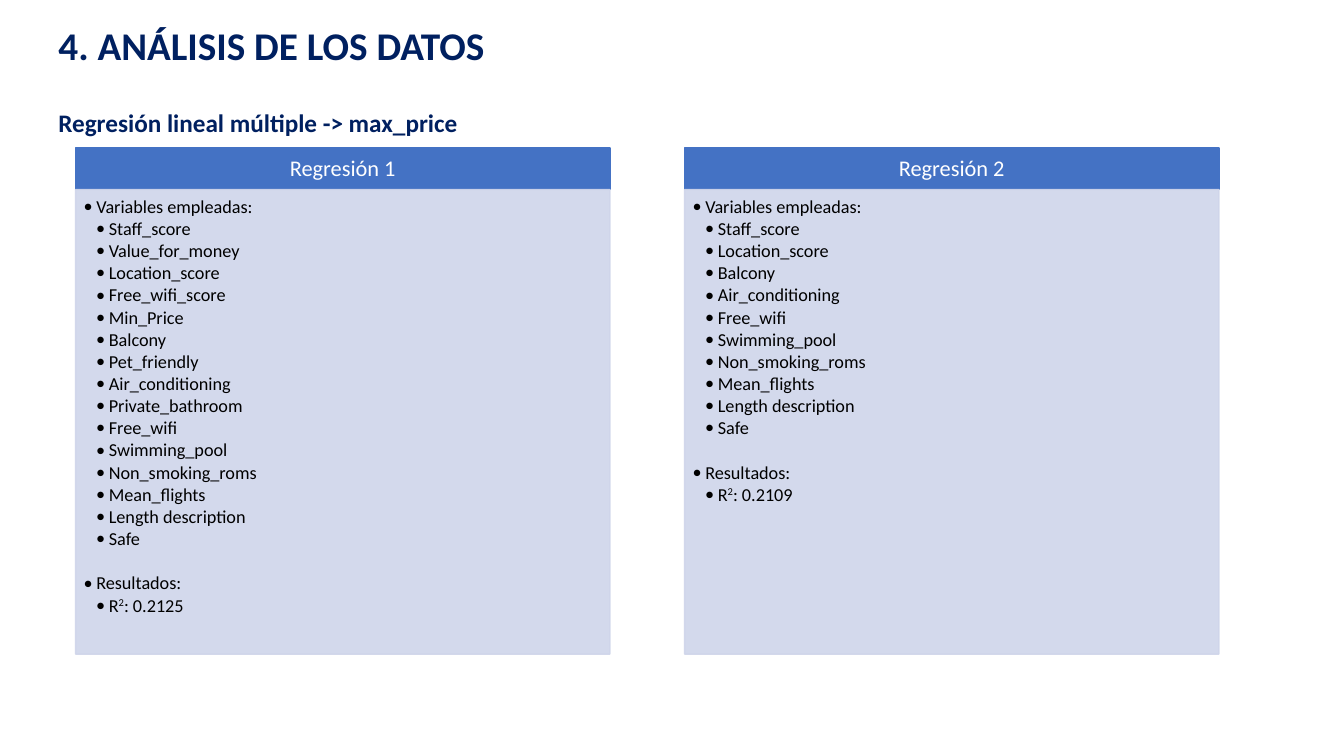
from lxml.etree import SubElement
from pptx import Presentation
from pptx.dml.color import RGBColor
from pptx.enum.shapes import MSO_SHAPE
from pptx.enum.text import MSO_ANCHOR, PP_ALIGN
from pptx.oxml.ns import qn
from pptx.util import Inches, Pt

NAVY, BLUE, PALE = "002060", "4472C4", "CFD5EA"
LEFT, TOP, WIDE, STEP = 0.75, 1.47, 5.3, 6.04
HEAD, BODY = 0.41, 4.61

PANELS = [
    ("Regresión 1", "0.2125", [
        "Staff_score", "Value_for_money", "Location_score", "Free_wifi_score",
        "Min_Price", "Balcony", "Pet_friendly", "Air_conditioning",
        "Private_bathroom", "Free_wifi", "Swimming_pool", "Non_smoking_roms",
        "Mean_flights", "Length description", "Safe"]),
    ("Regresión 2", "0.2109", [
        "Staff_score", "Location_score", "Balcony", "Air_conditioning",
        "Free_wifi", "Swimming_pool", "Non_smoking_roms", "Mean_flights",
        "Length description", "Safe"]),
]


def paint(color, code):
    color.rgb = RGBColor.from_string(code)


def place(shape, *box):
    shape.left, shape.top, shape.width, shape.height = map(Inches, box)


def pad(frame, *sides):
    """Set the insets: left, top, right, bottom."""
    frame.word_wrap = True
    (frame.margin_left, frame.margin_top,
     frame.margin_right, frame.margin_bottom) = map(Inches, sides)


def add_run(para, text, size, code, bold=False):
    run = para.add_run()
    run.text = text
    font = run.font
    font.name, font.size, font.bold = "Calibri", Pt(size), bold
    paint(font.color, code)
    return run


def add_box(slide, box, code, alpha=None):
    shape = slide.shapes.add_shape(MSO_SHAPE.RECTANGLE, *map(Inches, box))
    shape.shadow.inherit = False
    shape.fill.solid()
    paint(shape.fill.fore_color, code)
    shape.line.width = Pt(1)
    paint(shape.line.color, code)
    if alpha:
        for tint in shape.element.spPr.iter(qn("a:srgbClr")):
            SubElement(tint, qn("a:alpha"), val=str(alpha * 1000))
    return shape.text_frame


def add_item(frame, level, *texts, gap=0):
    """Add a bulleted line; every second text is a superscript."""
    first = frame.paragraphs[0]
    para = frame.add_paragraph() if first.runs else first
    para.level = level
    para.alignment = PP_ALIGN.LEFT
    para.line_spacing = 0.9
    para.space_before, para.space_after = Pt(gap), Pt(1.75)
    props = para._p.get_or_add_pPr()
    props.set("marL", str(Inches(0.125 * level)))
    props.set("indent", str(Inches(-0.125)))
    SubElement(props, qn("a:buFont"), typeface="Calibri")
    SubElement(props, qn("a:buChar"), char="•")
    for i, text in enumerate(texts):
        run = add_run(para, text, 13, "000000")
        if i % 2:
            run.font._element.set("baseline", "30000")


def add_panel(slide, left, name, score, items):
    head = add_box(slide, (left, TOP, WIDE, HEAD), BLUE)
    pad(head, 0.12, 0.07, 0.12, 0.07)
    head.vertical_anchor = MSO_ANCHOR.MIDDLE
    para = head.paragraphs[0]
    para.alignment = PP_ALIGN.CENTER
    para.line_spacing = 0.9
    add_run(para, name, 16, "FFFFFF")

    body = add_box(slide, (left, TOP + HEAD, WIDE, BODY), PALE, 90)
    pad(body, 0.08, 0.08, 0.1, 0.11)
    body.vertical_anchor = MSO_ANCHOR.TOP
    add_item(body, 1, "Variables empleadas:")
    for item in items:
        add_item(body, 2, item)
    add_item(body, 1, "Resultados:", gap=16)
    add_item(body, 2, "R", "2", f": {score}")


def add_heads(slide):
    title = slide.shapes.title
    place(title, 0.48, 0.16, 10.45, 0.57)
    pad(title.text_frame, 0.1, 0.05, 0.1, 0.05)
    title.text_frame.vertical_anchor = MSO_ANCHOR.TOP
    para = title.text_frame.paragraphs[0]
    para.alignment = PP_ALIGN.LEFT
    add_run(para, "4. ANÁLISIS DE LOS DATOS", 28, NAVY, True)

    box = slide.shapes.add_textbox(*map(Inches, (0.48, 0.87, 11.88, 0.51)))
    box.text_frame.word_wrap = True
    para = box.text_frame.paragraphs[0]
    para.alignment = PP_ALIGN.JUSTIFY
    para.line_spacing = 1.5
    add_run(para, "Regresión lineal múltiple -> max_price", 18, NAVY, True)


def main():
    deck = Presentation()
    deck.slide_width, deck.slide_height = Inches(13.33), Inches(7.5)
    slide = deck.slides.add_slide(deck.slide_layouts[5])
    add_heads(slide)
    for i, panel in enumerate(PANELS):
        add_panel(slide, LEFT + i * STEP, *panel)
    deck.save("out.pptx")


if __name__ == "__main__":
    main()
